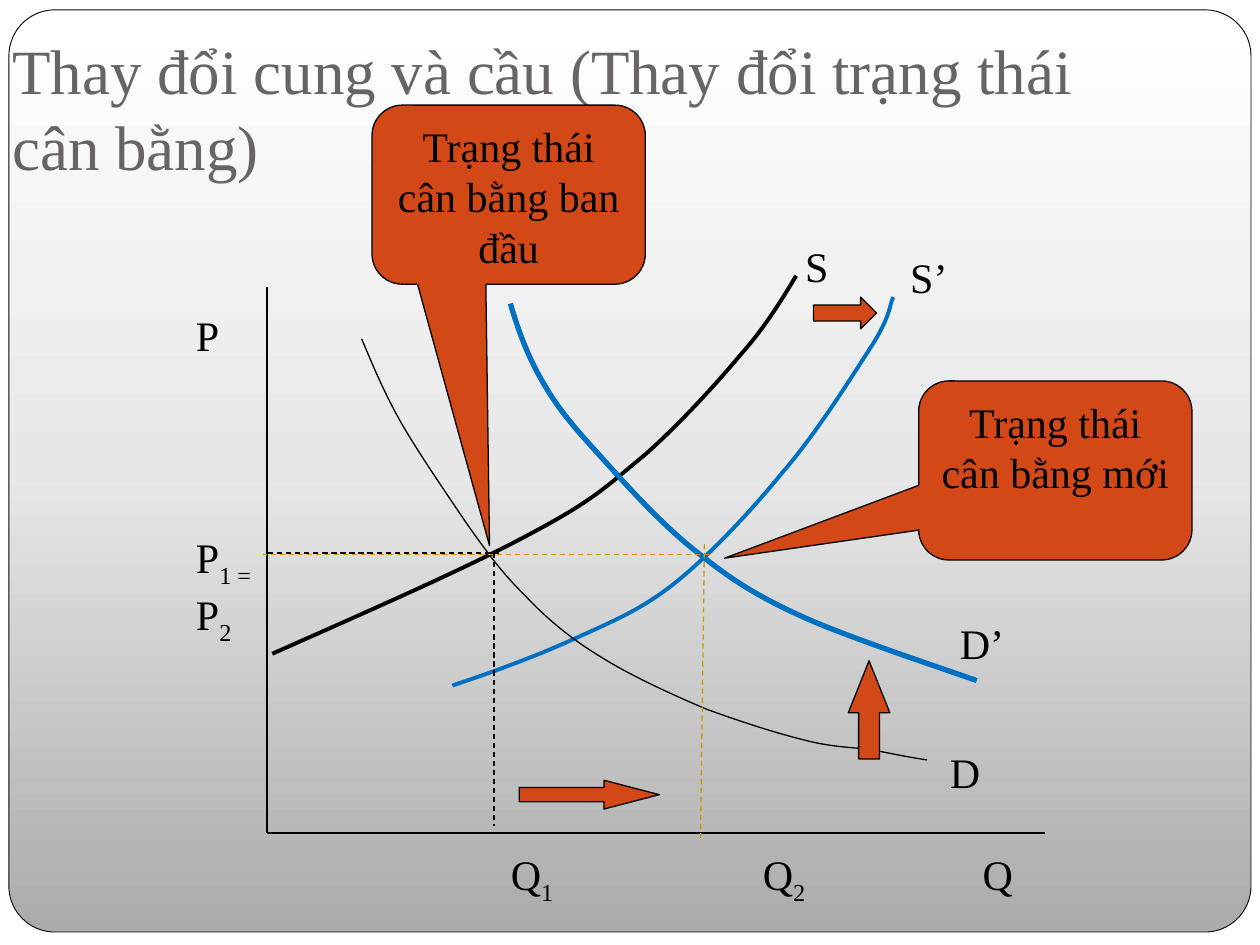
import collections
import copy

import pptx
import pptx.dml.color
import pptx.enum.dml
import pptx.enum.shapes
import pptx.enum.text
import pptx.oxml.ns
import pptx.util
import lxml.etree

Cm = pptx.util.Cm
Pt = pptx.util.Pt
qn = pptx.oxml.ns.qn
MSO_SHAPE = pptx.enum.shapes.MSO_SHAPE
Box = collections.namedtuple("Box", "left top width height")

FONT = "Times New Roman"
BLACK, BLUE, GOLD, ORANGE = "000000", "0070C0", "CC9900", "D34817"

CURVES = [
    (BLACK, 2.25, [
        (1.79, 11.08), (3.79, 10.19), (5.83, 9.3), (7.07, 8.62), (8.31, 7.96),
        (8.59, 7.65), (9.3, 7.07), (9.99, 6.46), (10.73, 5.65), (11.24, 5.04),
        (11.77, 4.45), (12.18, 3.74), (12.35, 3.46)]),
    (BLUE, 3, [
        (6.59, 4.02), (6.76, 4.61), (6.97, 5.16), (7.3, 5.7), (7.6, 6.21),
        (7.96, 6.61), (8.47, 7.17), (8.97, 7.73), (9.69, 8.52), (10.35, 9.03),
        (11.01, 9.56), (11.51, 9.89), (12.45, 10.32), (13.39, 10.75),
        (15.4, 11.41), (15.99, 11.62)]),
    (BLUE, 2.25, [
        (5.42, 11.72), (6.26, 11.44), (7.1, 11.13), (7.83, 10.8), (8.59, 10.45),
        (9.15, 10.24), (9.86, 9.69), (10.57, 9.13), (11.41, 8.24), (12.07, 7.43),
        (12.76, 6.64), (13.52, 5.42), (13.9, 4.83), (14.28, 4.22),
        (14.23, 4.02), (14.31, 3.89)]),
    (BLACK, 0.75, [
        (3.59, 4.73), (3.82, 5.27), (4.02, 5.77), (4.38, 6.41), (4.73, 7.02),
        (5.32, 7.88), (5.72, 8.47), (6.13, 9.05), (6.43, 9.46), (6.89, 9.91),
        (7.32, 10.37), (7.81, 10.78), (8.44, 11.16), (9.05, 11.54),
        (9.89, 11.92), (10.55, 12.2), (11.24, 12.45), (11.95, 12.68),
        (12.48, 12.81), (13.04, 12.96), (13.42, 12.96), (13.85, 13.01),
        (14.26, 13.09), (14.64, 13.17), (14.99, 13.22)]),
]


def rgb(value):
    return pptx.dml.color.RGBColor.from_string(value)


def style_line(line, color, width):
    line.color.rgb = rgb(color)
    line.width = Pt(width)


def style_font(paragraph, size, color):
    paragraph.font.name = FONT
    paragraph.font.size = Pt(size)
    paragraph.font.color.rgb = rgb(color)


def add_filled(slide, kind, box, x, y, width, height, adjustments):
    shape = slide.shapes.add_shape(
        kind, Cm(box.left + x), Cm(box.top + y), Cm(width), Cm(height))
    shape.shadow.inherit = False
    for index, value in enumerate(adjustments):
        shape.adjustments[index] = value
    shape.fill.solid()
    shape.fill.fore_color.rgb = rgb(ORANGE)
    style_line(shape.line, BLACK, 0.75)
    return shape


def add_frame(slide, box):
    frame = add_filled(slide, MSO_SHAPE.ROUNDED_RECTANGLE, box, 0, 0,
                       box.width, box.height, [0.05])
    frame.line.width = Pt(0.5)
    frame.fill.gradient()
    frame.fill.gradient_angle = 90
    stop_list = frame.element.find(".//" + qn("a:gsLst"))
    stop_list.append(copy.deepcopy(stop_list[-1]))
    gradient = [(0, "ABABAB"), (0.5, "E7E7E7"), (1, "FFFFFF")]
    for stop, (position, color) in zip(frame.fill.gradient_stops, gradient):
        stop.position = position
        stop.color.rgb = rgb(color)
    slide.shapes.title.element.addprevious(frame.element)


def add_title(slide, box):
    title = slide.shapes.title
    title.left, title.top, title.width, title.height = map(Cm, box)
    heading = title.text_frame
    heading.text = "Thay đổi cung và cầu (Thay đổi trạng thái cân bằng)"
    heading.word_wrap = True
    heading.auto_size = pptx.enum.text.MSO_AUTO_SIZE.NONE
    heading.vertical_anchor = pptx.enum.text.MSO_ANCHOR.BOTTOM
    heading.margin_left = heading.margin_right = heading.margin_bottom = Cm(0.25)
    heading.margin_top = Cm(0.13)
    heading.paragraphs[0].alignment = pptx.enum.text.PP_ALIGN.LEFT
    style_font(heading.paragraphs[0], 36, "696464")


def add_segment(slide, box, start, end, color=BLACK, dashed=False):
    (x1, y1), (x2, y2) = start, end
    segment = slide.shapes.add_connector(
        pptx.enum.shapes.MSO_CONNECTOR.STRAIGHT,
        Cm(box.left + x1), Cm(box.top + y1), Cm(box.left + x2), Cm(box.top + y2))
    style_line(segment.line, color, 0.75)
    if dashed:
        segment.line.dash_style = pptx.enum.dml.MSO_LINE.DASH
    properties = segment.element.find(qn("p:spPr"))
    lxml.etree.SubElement(properties, qn("a:effectLst"))


def add_curve(slide, box, color, width, controls):
    points = [(Cm(box.left + x), Cm(box.top + y)) for x, y in controls]
    builder = slide.shapes.build_freeform(*points[0])
    builder.add_line_segments(points[1:], close=False)
    curve = builder.convert_to_shape()
    segments = list(curve.element.iter(qn("a:lnTo")))
    for first in range(0, len(segments), 3):
        bend = lxml.etree.Element(qn("a:cubicBezTo"))
        segments[first].addprevious(bend)
        for segment in segments[first:first + 3]:
            bend.append(segment[0])
            segment.getparent().remove(segment)
    curve.shadow.inherit = False
    curve.fill.background()
    style_line(curve.line, color, width)


def add_callout(slide, box, x, y, words, adjustments):
    callout = add_filled(slide, MSO_SHAPE.ROUNDED_RECTANGULAR_CALLOUT, box,
                         x, y, 5.51, 3.61, adjustments)
    callout.text_frame.text = words
    callout.text_frame.word_wrap = True
    callout.text_frame.vertical_anchor = pptx.enum.text.MSO_ANCHOR.TOP
    callout.text_frame.paragraphs[0].alignment = pptx.enum.text.PP_ALIGN.CENTER
    style_font(callout.text_frame.paragraphs[0], 24, BLACK)


def fill_label(paragraph, *parts):
    style_font(paragraph, 24, BLACK)
    for index, part in enumerate(parts):
        run = paragraph.add_run()
        run.text = part
        if index % 2:
            run.font._element.set("baseline", "-25000")


def add_label(slide, box, x, y, width, *parts, height=1.27):
    label = slide.shapes.add_textbox(
        Cm(box.left + x), Cm(box.top + y), Cm(width), Cm(height))
    label.text_frame.word_wrap = True
    fill_label(label.text_frame.paragraphs[0], *parts)
    return label.text_frame


def add_axis_labels(slide, box):
    prices = add_label(slide, box, 0, 4.02, 2.11, "P", height=10.13)
    equilibrium_price = prices.add_paragraph()
    equilibrium_price.space_before = Pt(98)
    fill_label(equilibrium_price, "P", "1 = ", "P", "2")

    quantities = add_label(slide, box, 0.41, 14.89, 18.21, "\tQ", "1", "\tQ", "2", "\tQ")
    properties = quantities.paragraphs[0]._p.get_or_add_pPr()
    tabs = lxml.etree.Element(qn("a:tabLst"))
    properties.find(qn("a:defRPr")).addprevious(tabs)
    for position in (5.94, 11.02, 15.45):
        lxml.etree.SubElement(tabs, qn("a:tab"), pos=str(Cm(position)), algn="l")


def add_market_diagram(slide, box):
    origin = (1.68, 14.69)
    add_segment(slide, box, (1.68, 3.69), origin)
    add_segment(slide, box, origin, (17.36, 14.69))
    for color, width, controls in CURVES:
        add_curve(slide, box, color, width, controls)

    add_segment(slide, box, (6.26, 9.05), (6.26, 14.56), dashed=True)
    add_segment(slide, box, (6.36, 9.05), (1.68, 9.05), dashed=True)
    add_segment(slide, box, (10.5, 8.87), (10.42, 14.87), GOLD, dashed=True)
    add_segment(slide, box, (10.6, 9.08), (1.61, 9.08), GOLD, dashed=True)

    add_callout(slide, box, 14.82, 5.58, "Trạng thái cân bằng mới", [-1.21, 0.49, 0.17])
    add_callout(slide, box, 3.8, 0.02, "Trạng thái cân bằng ban đầu", [-0.07, 1.96, 0.17])

    add_label(slide, box, 15.2, 12.82, 1.47, "D")
    add_label(slide, box, 15.4, 10.22, 1.47, "D’")
    add_label(slide, box, 12.28, 2.62, 1.07, "S")
    add_label(slide, box, 14.4, 2.84, 1.7, "S’")
    add_axis_labels(slide, box)

    arrow = MSO_SHAPE.RIGHT_ARROW
    add_filled(slide, arrow, box, 6.77, 13.63, 2.82, 0.58, [0.5, 1.92])
    add_filled(slide, arrow, box, 12.7, 3.89, 1.27, 0.64, [0.5, 0.5])
    demand_shift = add_filled(slide, arrow, box, 12.83, 11.79, 1.98, 0.84, [0.5, 1.25])
    demand_shift.rotation = 270


def main():
    deck = pptx.Presentation()
    deck.slide_width, deck.slide_height = Cm(25.4), Cm(19.05)
    slide = deck.slides.add_slide(deck.slide_layouts[5])
    add_frame(slide, Box(0.18, 0.2, 25.04, 18.59))
    add_title(slide, Box(0, 0.76, 22.86, 3.18))
    add_market_diagram(slide, Box(3.7, 2.1, 20.4, 16.2))
    deck.save("out.pptx")


if __name__ == "__main__":
    main()
